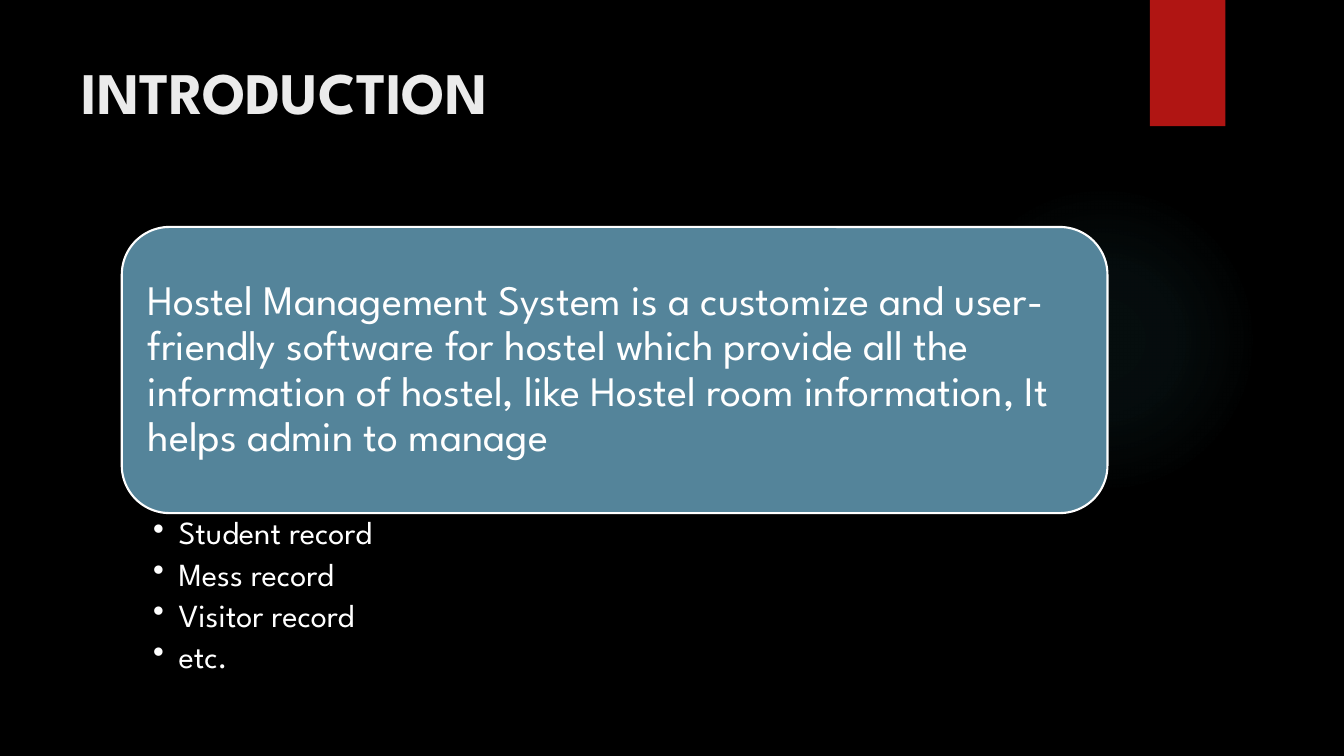
"""Build the introduction slide of the hostel management presentation."""
from dataclasses import dataclass

from lxml import etree
from pptx import Presentation
from pptx.dml.color import RGBColor
from pptx.enum.shapes import MSO_SHAPE
from pptx.enum.text import MSO_ANCHOR, MSO_AUTO_SIZE, PP_ALIGN
from pptx.oxml import parse_xml
from pptx.oxml.ns import nsdecls, qn
from pptx.util import Cm, Pt

OVAL, RECTANGLE, ROUNDED = MSO_SHAPE.OVAL, MSO_SHAPE.RECTANGLE, MSO_SHAPE.ROUNDED_RECTANGLE
TOP, MIDDLE = MSO_ANCHOR.TOP, MSO_ANCHOR.MIDDLE
LEFT = PP_ALIGN.LEFT
NO_AUTOFIT = MSO_AUTO_SIZE.NONE
TITLE_ONLY = 5


@dataclass(frozen=True)
class Theme:
    font: str = "League Spartan"
    background: str = "000000"
    glow: str = "50B9C1"
    ribbon: str = "B01513"
    card: str = "54849A"
    title: str = "EBEBEB"
    text: str = "FFFFFF"
    title_size: int = 42
    card_size: int = 30
    list_size: int = 23


theme = Theme()


def write_text(frame, lines, *, size, color, bold=False, anchor=TOP,
               insets=(0.25, 0.13, 0.25, 0.13), line_spacing=1.0, space_after=0, bullet=None):
    """Fill a text frame with one formatted paragraph per line."""
    frame.word_wrap = True
    frame.auto_size = NO_AUTOFIT
    frame.vertical_anchor = anchor
    frame.margin_left, frame.margin_top, frame.margin_right, frame.margin_bottom = map(Cm, insets)
    frame.text = "\n".join(lines)
    for paragraph in frame.paragraphs:
        paragraph.alignment = LEFT
        paragraph.line_spacing = line_spacing
        paragraph.space_before = Pt(0)
        paragraph.space_after = Pt(space_after)
        font = paragraph.runs[0].font
        font.name, font.size, font.bold = theme.font, Pt(size), bold
        font.color.rgb = RGBColor.from_string(color)
        if bullet:
            paragraph.level = 1
            properties = paragraph._p.get_or_add_pPr()
            properties.set("marL", str(Cm(0.64)))
            properties.set("indent", str(Cm(-0.64)))
            etree.SubElement(properties, qn("a:buChar"), char=bullet)


def add_panel(kind, left, top, width, height, color):
    """Add a plain filled shape without outline or shadow."""
    shape = slide.shapes.add_shape(kind, Cm(left), Cm(top), Cm(width), Cm(height))
    shape.shadow.inherit = False
    shape.fill.solid()
    shape.fill.fore_color.rgb = RGBColor.from_string(color)
    shape.line.fill.background()
    return shape


presentation = Presentation()
presentation.slide_width, presentation.slide_height = Cm(33.87), Cm(19.05)
slide = presentation.slides.add_slide(presentation.slide_layouts[TITLE_ONLY])
slide.background.fill.solid()
slide.background.fill.fore_color.rgb = RGBColor.from_string(theme.background)

glow = add_panel(OVAL, 23.9, 4.65, 7.82, 7.82, theme.glow)
stops = "".join(
    f'<a:gs pos="{position * 1000}"><a:srgbClr val="{theme.glow}">'
    f'<a:alpha val="{opacity * 1000}"/></a:srgbClr></a:gs>'
    for position, opacity in ((0, 7), (36, 6), (69, 0))
)
gradient = parse_xml(
    f'<a:gradFill {nsdecls("a")}><a:gsLst>{stops}</a:gsLst><a:path path="circle">'
    '<a:fillToRect l="50000" t="50000" r="50000" b="50000"/></a:path></a:gradFill>'
)
solid_fill = glow._element.spPr.find(qn("a:solidFill"))
solid_fill.getparent().replace(solid_fill, gradient)

title = slide.shapes.title
title.left, title.top, title.width, title.height = Cm(1.8), Cm(1.27), Cm(26.14), Cm(3.89)
write_text(title.text_frame, ["INTRODUCTION"], size=theme.title_size, color=theme.title, bold=True)

add_panel(RECTANGLE, 28.98, 0, 1.9, 3.18, theme.ribbon)

card = add_panel(ROUNDED, 3.07, 5.72, 24.84, 7.21, theme.card)
card.line.color.rgb = RGBColor.from_string(theme.text)
card.line.width = Pt(1.5)
write_text(
    card.text_frame,
    ["Hostel Management System is a customize and user-friendly software for hostel which "
     "provide all the information of hostel, like Hostel room information, It helps admin to manage"],
    size=theme.card_size, color=theme.text, anchor=MIDDLE,
    insets=(0.3, 0.3, 0.3, 0.3), line_spacing=0.9, space_after=10.5,
)

records = slide.shapes.add_textbox(card.left, card.top + card.height, card.width, Cm(4.39))
write_text(
    records.text_frame,
    ["Student record", "Mess record", "Visitor record", "etc."],
    size=theme.list_size, color=theme.text,
    insets=(0.79, 0.1, 0.58, 0.1), line_spacing=0.9, space_after=4.6, bullet="•",
)

presentation.save("out.pptx")
